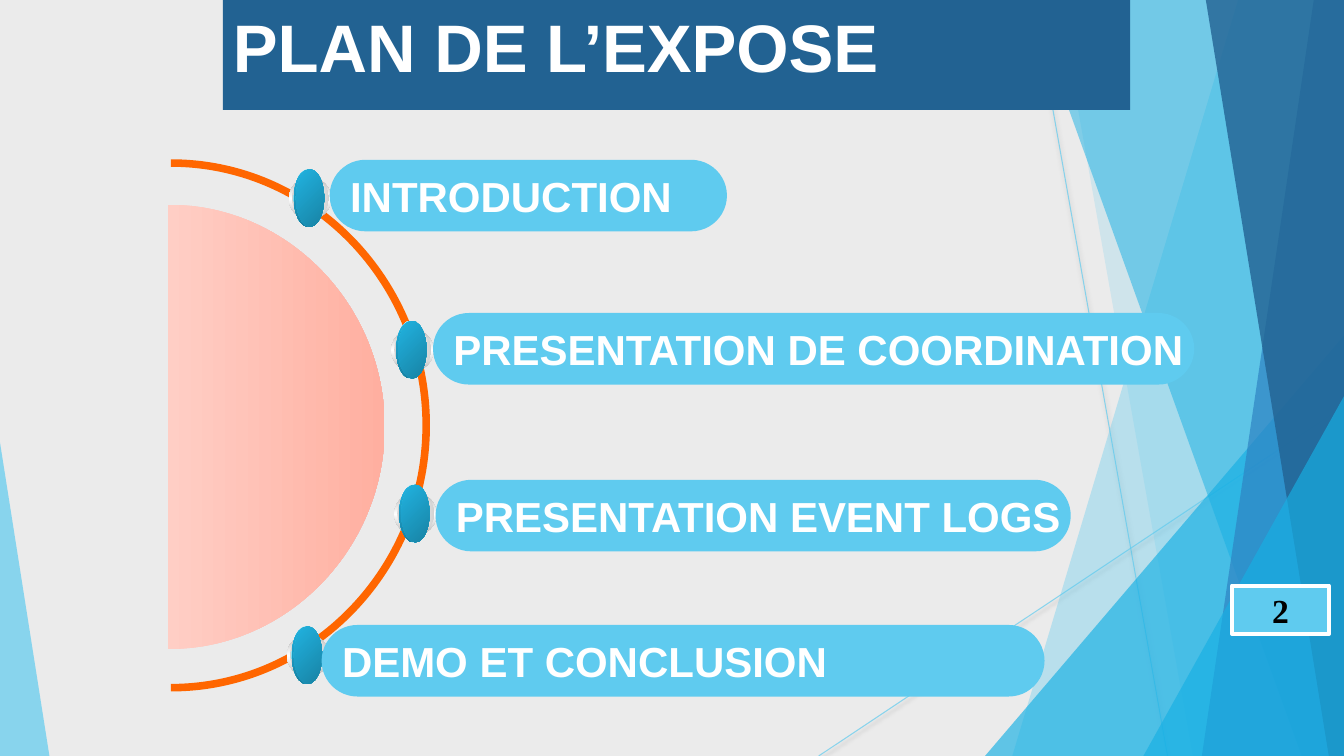
from dataclasses import dataclass

from lxml import etree
from pptx import Presentation
from pptx.dml.color import RGBColor
from pptx.enum.shapes import MSO_CONNECTOR, MSO_SHAPE
from pptx.enum.text import MSO_ANCHOR, MSO_AUTO_SIZE, PP_ALIGN
from pptx.oxml import parse_xml
from pptx.oxml.ns import nsdecls, qn
from pptx.util import Inches, Pt

RECTANGLE, PILL = MSO_SHAPE.RECTANGLE, MSO_SHAPE.ROUNDED_RECTANGLE
OVAL, TRIANGLE = MSO_SHAPE.OVAL, MSO_SHAPE.ISOSCELES_TRIANGLE
STRAIGHT = MSO_CONNECTOR.STRAIGHT
LEFT, CENTER = PP_ALIGN.LEFT, PP_ALIGN.CENTER
TOP, MIDDLE = MSO_ANCHOR.TOP, MSO_ANCHOR.MIDDLE
TITLE_ONLY = 5
CELL = Inches(0.1)
ROUND = 0.55  # handle length of a quarter ellipse, as a share of its radius


@dataclass(frozen=True)
class Theme:
    page: str = "EBEBEB"
    white: str = "FFFFFF"
    black: str = "000000"
    sky: str = "5FCBEF"
    cyan: str = "17B0E4"
    blue: str = "2E83C3"
    navy: str = "226292"
    orange: str = "FF6600"
    disc: tuple = ("FFCEC5", "FFAFA0")
    font: str = "Arial"
    number_font: str = "Times New Roman"
    title_size: int = 48
    topic_size: int = 30
    number_size: int = 24


THEME = Theme()


@dataclass(frozen=True)
class Box:
    """An area in grid cells of a tenth of an inch."""
    left: float
    top: float
    width: float
    height: float

    def inside(self, left, top, width, height):
        return Box(self.left + left, self.top + top, width, height)

    def point(self, column, row):
        return round((self.left + column) * CELL), round((self.top + row) * CELL)

    def emu(self):
        return (*self.point(0, 0), round(self.width * CELL), round(self.height * CELL))


SLIDE = Box(0, 0, 133.3, 75)

# Kind, columns (top and bottom of a strip; left and right of a peak),
# top row of a peak, position of its apex, colour, opacity
FACETS = [
    ("strip", 122.8, 100.4, 0, 0, THEME.sky, 36),
    ("strip", 105, 118.3, 0, 0, THEME.sky, 20),
    ("peak", 97.7, 133.3, 33.3, 1, THEME.cyan, 66),
    ("strip", 102.1, 129.1, 0, 0, THEME.cyan, 50),
    ("strip", 130.3, 119.2, 0, 0, THEME.blue, 70),
    ("strip", 119.6, 131.8, 0, 0, THEME.navy, 80),
    ("peak", 113.4, 133.3, 39.3, 1, THEME.cyan, 66),
    ("peak", 0, 4.9, 43.9, 0, THEME.sky, 70),
]
RAYS = [(102.5, 0, 115.8, 75), (133.3, 40.3, 81.2, 75)]

# Text, left, top and width of the pill, left and top of its bead
TOPICS = [
    ("INTRODUCTION", 32.7, 15.85, 39.4, 28.65, 17.6),
    ("PRESENTATION DE COORDINATION", 42.95, 31.05, 75.5, 38.8, 32.65),
    ("PRESENTATION EVENT LOGS", 43.2, 47.6, 63, 39.1, 48.9),
    ("DEMO ET CONCLUSION", 31.9, 62, 71.7, 28.45, 62.95),
]
# Left, top, width, height, gradient colours, angle
BEAD_LAYERS = [
    (0, 0, 4.2, 4.2, ("B6B6B6", "FFFFFF", "B6B6B6"), 90),
    (0.3, 0.2, 3.7, 3.7, ("D1D1D1", "FFFFFF", "D1D1D1"), 0),
    (0.5, -0.8, 2.8, 5.7, ("FFFFFF", "3FCDE7", "FFFFFF"), 45),
    (0.5, -0.8, 2.8, 5.7, ("21B3E1", "1880A1"), 90),
    (0.7, -0.8, 2.8, 5.7, ("309DB1", "3FCDE7", "309DB1"), 315),
    (0.7, -0.8, 2.8, 5.7, ("21B3E1", "1883A4"), 45),
]


def set_opacity(element, percent):
    for color in element.iter(qn("a:srgbClr")):
        etree.SubElement(color, qn("a:alpha")).set("val", str(percent * 1000))


def paint(shape, color, opacity=100):
    shape.shadow.inherit = False
    shape.line.fill.background()
    shape.fill.solid()
    shape.fill.fore_color.rgb = RGBColor.from_string(color)
    if opacity < 100:
        set_opacity(shape.element.spPr, opacity)


def paint_gradient(shape, colors, angle):
    """Spread the colours evenly; the angle turns clockwise in degrees."""
    shape.shadow.inherit = False
    shape.line.fill.background()
    shape.fill.gradient()
    gradient = shape.element.spPr.find(qn("a:gradFill"))
    stops = gradient.find(qn("a:gsLst"))
    for stop in list(stops):
        stops.remove(stop)
    for index, color in enumerate(colors):
        stop = etree.SubElement(stops, qn("a:gs"))
        stop.set("pos", str(100000 * index // (len(colors) - 1)))
        etree.SubElement(stop, qn("a:srgbClr")).set("val", color)
    gradient.find(qn("a:lin")).set("ang", str(angle * 60000))


def write(shape, text, size, color=THEME.white, font=THEME.font,
          align=LEFT, anchor=MIDDLE, wrap=True):
    frame = shape.text_frame
    frame.auto_size = MSO_AUTO_SIZE.NONE
    frame.word_wrap = wrap
    frame.vertical_anchor = anchor
    para = frame.paragraphs[0]
    para.alignment = align
    span = para.add_run()
    span.text = text
    span.font.name, span.font.size, span.font.bold = font, Pt(size), True
    span.font.color.rgb = RGBColor.from_string(color)


def add_outline(shapes, points, curves=()):
    """Draw a closed outline; each curve start joins three segments into a Bézier."""
    builder = shapes.build_freeform(*points[0], scale=1.0)
    builder.add_line_segments(points[1:], close=True)
    outline = builder.convert_to_shape()
    segments = list(outline.element.iter(qn("a:lnTo")))
    for start in curves:
        curve = etree.Element(qn("a:cubicBezTo"))
        segments[start].addprevious(curve)
        for segment in segments[start:start + 3]:
            curve.append(segment[0])
            segment.getparent().remove(segment)
    return outline


def half_ellipse(box):
    """Bézier points of the right half of an ellipse, from top to bottom."""
    width, middle = box.width, box.height / 2
    upper, lower = middle * (1 - ROUND), middle * (1 + ROUND)
    return [box.point(*spot) for spot in (
        (0, 0), (width * ROUND, 0), (width, upper), (width, middle),
        (width, lower), (width * ROUND, box.height), (0, box.height))]


def add_rays(group, box):
    for x1, y1, x2, y2 in RAYS:
        ray = group.shapes.add_connector(STRAIGHT, *box.point(x1, y1), *box.point(x2, y2))
        ray.line.color.rgb = RGBColor.from_string(THEME.sky)
        ray.line.width = Pt(0.75)
        set_opacity(ray.element.spPr, 70)
        ray.element.spPr.append(parse_xml(
            f'<a:effectLst {nsdecls("a")}><a:outerShdw blurRad="{Pt(3)}" '
            f'dist="{Pt(2)}" dir="5400000"><a:srgbClr val="{THEME.black}">'
            '<a:alpha val="28000"/></a:srgbClr></a:outerShdw></a:effectLst>'))


def add_facets(group, box):
    for kind, first, second, top, apex, color, opacity in FACETS:
        if kind == "strip":
            facet = add_outline(group.shapes, [
                box.point(first, 0), box.point(box.width, 0),
                box.point(box.width, box.height), box.point(second, box.height)])
        else:
            area = box.inside(first, top, second - first, box.height - top)
            facet = group.shapes.add_shape(TRIANGLE, *area.emu())
            facet.adjustments[0] = apex
        paint(facet, color, opacity)


def add_backdrop(page, box):
    """Draw the rays and facets, and hand them over to the slide master."""
    group = page.shapes.add_group_shape()
    add_rays(group, box)
    add_facets(group, box)
    master = page.slide_layout.slide_master
    master.placeholders[0].element.addprevious(group.element)
    master.background.fill.solid()
    master.background.fill.fore_color.rgb = RGBColor.from_string(THEME.page)


def add_title(page, box):
    title = page.shapes.title
    title.left, title.top, title.width, title.height = box.emu()
    title.fill.solid()
    title.fill.fore_color.rgb = RGBColor.from_string(THEME.navy)
    write(title, "PLAN DE L’EXPOSE", THEME.title_size, anchor=TOP)


def add_dial(page, box):
    rim = 0.75
    inner = box.inside(0, rim, box.width - rim, box.height - 2 * rim)
    ring = half_ellipse(box) + half_ellipse(inner)[::-1]
    paint(add_outline(page.shapes, ring, curves=(0, 3, 7, 10)), THEME.orange)
    disc = half_ellipse(box.inside(-0.3, 4.5, 21.5, 44.1))
    paint_gradient(add_outline(page.shapes, disc, curves=(0, 3)), THEME.disc, 0)


def add_bead(page, box):
    bead = page.shapes.add_group_shape()
    for left, top, width, height, colors, angle in BEAD_LAYERS:
        layer = bead.shapes.add_shape(OVAL, *box.inside(left, top, width, height).emu())
        paint_gradient(layer, colors, angle)


def add_topics(page, box):
    for text, left, top, width, bead_left, bead_top in TOPICS:
        add_bead(page, box.inside(bead_left, bead_top, 4.2, 4.2))
        pill = page.shapes.add_shape(PILL, *box.inside(left, top, width, 7.1).emu())
        pill.adjustments[0] = 0.5
        paint(pill, THEME.sky)
        write(pill, text, THEME.topic_size, wrap=False)


def add_page_number(page, box):
    number = page.shapes.add_shape(RECTANGLE, *box.emu())
    paint(number, THEME.sky)
    number.line.color.rgb = RGBColor.from_string(THEME.white)
    number.line.width = Pt(3)
    write(number, "2", THEME.number_size, THEME.black, THEME.number_font, CENTER)


def main():
    deck = Presentation()
    deck.slide_width, deck.slide_height = SLIDE.emu()[2:]
    page = deck.slides.add_slide(deck.slide_layouts[TITLE_ONLY])
    add_backdrop(page, SLIDE)
    add_title(page, SLIDE.inside(22.1, 0, 90, 10.9))
    add_dial(page, SLIDE.inside(16.95, 15.8, 25.7, 52.8))
    add_topics(page, SLIDE)
    add_page_number(page, SLIDE.inside(122.2, 58.1, 9.6, 4.8))
    deck.save("out.pptx")


if __name__ == "__main__":
    main()
